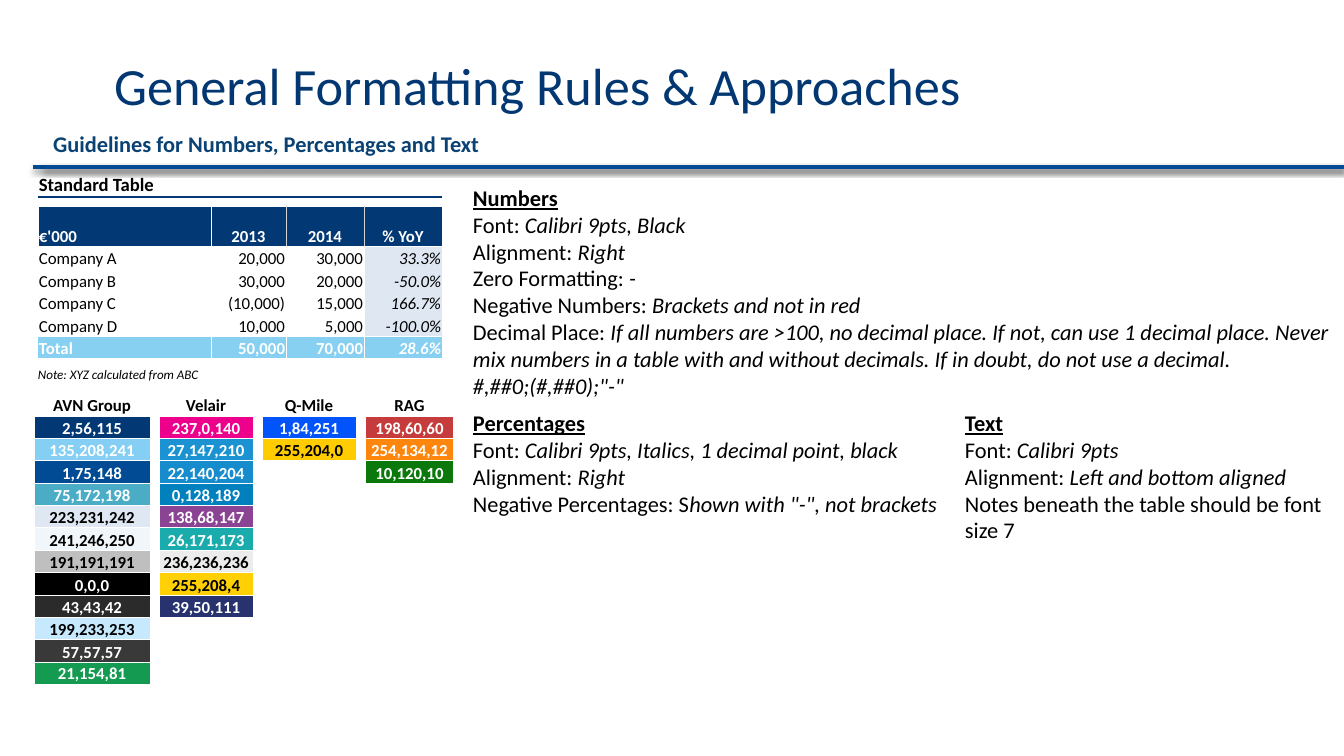
from lxml import etree
from pptx import Presentation
from pptx.dml.color import RGBColor
from pptx.enum.shapes import MSO_CONNECTOR
from pptx.enum.text import MSO_ANCHOR as ANCHOR, PP_ALIGN as ALIGN
from pptx.oxml import parse_xml
from pptx.oxml.ns import nsdecls, qn
from pptx.util import Emu, Pt

PX = 914400 / 134.4
FONT = "Calibri"
NO_STYLE = "{2D5ABB26-0587-4C30-8999-92F81FD0307C}"
COLOURS = {
    "navy": "023873", "title": "023772", "subtitle": "0A4274", "rule": "004B93",
    "sky": "87D0F1", "pale": "DFE7F2", "grey": "D2D3D4",
    "white": "FFFFFF", "black": "000000",
}

prs = Presentation()
prs.slide_width, prs.slide_height = Emu(round(1344 * PX)), Emu(round(756 * PX))
slide = prs.slides.add_slide(prs.slide_layouts[6])


def add_run(paragraph, text, size, colour, marks=""):
    """Add one run; marks holds any of b, i and u."""
    run = paragraph.add_run()
    run.text = text
    font = run.font
    font.name, font.size = FONT, Pt(size)
    font.color.rgb = RGBColor.from_string(COLOURS[colour])
    font.bold, font.italic, font.underline = (mark in marks for mark in "biu")


def format_cell(cell, text="", marks="", colour="black", align=ALIGN.LEFT,
                fill=None, borders=None, size=9):
    """Fill in one table cell; borders maps a side to (colour, points)."""
    cell.margin_left = cell.margin_right = cell.margin_top = Emu(round(PX))
    cell.margin_bottom = 0
    cell.vertical_anchor = ANCHOR.BOTTOM
    paragraph = cell.text_frame.paragraphs[0]
    paragraph.alignment = align
    if text:
        add_run(paragraph, text, size, colour, marks)
    else:
        etree.SubElement(paragraph._p, qn("a:endParaRPr"), sz="300")
    properties = cell._tc.get_or_add_tcPr()
    for side in "LRTB":
        if borders and side in borders:
            border_colour, points = borders[side]
            properties.append(parse_xml(
                f'<a:ln{side} {nsdecls("a")} w="{Pt(points)}"><a:solidFill>'
                f'<a:srgbClr val="{COLOURS[border_colour]}"/></a:solidFill></a:ln{side}>'))
    if fill:
        cell.fill.solid()
        cell.fill.fore_color.rgb = RGBColor.from_string(fill)
    else:
        cell.fill.background()


# Double rule under the headings
for rule_left in (33, 43):
    rule = slide.shapes.add_connector(
        MSO_CONNECTOR.STRAIGHT, *(Emu(round(v * PX)) for v in (rule_left, 167, 1344, 167)))
    rule.line.width = Pt(2)
    rule.line.color.rgb = RGBColor.from_string(COLOURS["rule"])
    rule._element.spPr.append(parse_xml(
        f'<a:effectLst {nsdecls("a")}><a:outerShdw blurRad="{Pt(3.1)}" dist="{Pt(1.6)}" '
        f'dir="5400000" rotWithShape="0"><a:srgbClr val="{COLOURS["black"]}">'
        '<a:alpha val="38000"/></a:srgbClr></a:outerShdw></a:effectLst>'))

# Headings, guidelines and note: box, inset, size, colour, paragraphs of (text, marks)
texts = [
    ((101, 42, 1142, 85), True, 28, "title",
     [[("General Formatting Rules & Approaches", "")]]),
    ((40, 124, 1304, 40), True, 12, "subtitle",
     [[("Guidelines for Numbers, Percentages and Text", "b")]]),
    ((473, 184, 862, 196), False, 12, "black", [
        [("Numbers", "bu")],
        [("Font: ", ""), ("Calibri 9pts, Black", "i")],
        [("Alignment:", ""), (" Right", "i")],
        [("Zero Formatting: ", ""), ("-", "i")],
        [("Negative Numbers: ", ""), ("Brackets and not in red", "i")],
        [("Decimal Place: ", ""),
         ("If all numbers are >100, no decimal place. If not, can use 1 decimal place. "
          "Never mix numbers in a table with and without decimals. "
          "If in doubt, do not use a decimal.", "i")],
        [('#,##0;(#,##0);"-"', "i")]]),
    ((473, 409, 480, 137), False, 12, "black", [
        [("Percentages", "bu")],
        [("Font: ", ""), ("Calibri 9pts, Italics, 1 decimal point, black", "i")],
        [("Alignment:", ""), (" Right", "i")],
        [("Negative Percentages: S", ""), ('hown with "-", not brackets', "i")]]),
    ((965, 409, 379, 137), False, 12, "black", [
        [("Text", "bu")],
        [("Font: ", ""), ("Calibri 9pts", "i")],
        [("Alignment:", ""), (" Left and bottom aligned", "i")],
        [("Notes beneath the table should be font size 7", "")]]),
    ((38, 366, 199, 14), False, 7, "black", [[("Note: XYZ calculated from ABC", "i")]]),
]
for box, inset, size, colour, paragraphs in texts:
    frame = slide.shapes.add_textbox(*(Emu(round(v * PX)) for v in box)).text_frame
    frame.word_wrap = True
    frame.vertical_anchor = ANCHOR.MIDDLE if colour == "title" else ANCHOR.TOP
    if not inset:
        frame.margin_left = frame.margin_right = frame.margin_top = frame.margin_bottom = 0
    for index, runs in enumerate(paragraphs):
        paragraph = frame.add_paragraph() if index else frame.paragraphs[0]
        for text, marks in runs:
            add_run(paragraph, text, size, colour, marks)

# Empty grids for the standard table and the palette
grids = []
for left, top, widths, heights in (
    (38, 167, [173, 75, 78, 78], [30, 9, 41, 22, 23, 22, 23, 22]),
    (34, 394, [116, 9, 94, 9, 94, 9, 89],
     [round(22.4 * (i + 1)) - round(22.4 * i) for i in range(13)]),
):
    area = (left, top, sum(widths), sum(heights))
    grid = slide.shapes.add_table(
        len(heights), len(widths), *(Emu(round(v * PX)) for v in area)).table
    grid.first_row = grid.horz_banding = False
    grid._tbl.tblPr.find(qn("a:tableStyleId")).text = NO_STYLE
    for column, width in zip(grid.columns, widths):
        column.width = Emu(round(width * PX))
    for row, height in zip(grid.rows, heights):
        row.height = Emu(round(height * PX))
    grids.append(grid)
standard, palette = grids

# Standard table
hairline = ("white", 0.5)
divider = ("grey", 0.5)
underline = ("navy", 1)
records = [
    ["€'000", "2013", "2014", "% YoY"],
    ["Company A", "20,000", "30,000", "33.3%"],
    ["Company B", "30,000", "20,000", "-50.0%"],
    ["Company C", "(10,000)", "15,000", "166.7%"],
    ["Company D", "10,000", "5,000", "-100.0%"],
    ["Total", "50,000", "70,000", "28.6%"],
]
for c in range(4):
    format_cell(standard.cell(0, c), "" if c else "Standard Table", "b", size=10,
                borders={"B": underline})
    format_cell(standard.cell(1, c), borders={"T": underline, "B": hairline})
for r, record in enumerate(records):
    header, total = r == 0, r == len(records) - 1
    for c, text in enumerate(record):
        borders = {"L" if c % 2 else "R": hairline}
        if header:
            borders = {"L": divider if c > 1 else hairline,
                       "R": divider if c in (1, 2) else hairline}
        if header or total:
            borders.update(T=hairline, B=hairline)
        marks = ("b" if header or total else "") + ("i" if c == 3 and not header else "")
        fill = ("navy" if header else "sky" if total else "pale" if c == 3 else "white")
        align = ALIGN.LEFT if c == 0 else ALIGN.CENTER if header else ALIGN.RIGHT
        format_cell(standard.cell(r + 2, c), text, marks,
                    "white" if header or total else "black", align, COLOURS[fill], borders)

# Palette: each swatch takes its fill from its RGB label, save for two shades
swatches = {
    "AVN Group": ["2,56,115", "135,208,241", "1,75,148", "75,172,198", "223,231,242",
                  "241,246,250", "191,191,191", "0,0,0", "43,43,42", "199,233,253",
                  "57,57,57", "21,154,81"],
    "Velair": ["237,0,140", "27,147,210", "22,140,204", "0,128,189", "138,68,147",
               "26,171,173", "236,236,236", "255,208,4", "39,50,111"],
    "Q-Mile": ["1,84,251", "255,204,0"],
    "RAG": ["198,60,60", "254,134,12", "10,120,10"],
}
shades = {"135,208,241": "85CFF4", "43,43,42": "2B2B2B"}
frame_lines = dict.fromkeys("LRTB", hairline)
names = list(swatches)
for c in range(7):
    labels = [] if c % 2 else swatches[names[c // 2]]
    format_cell(palette.cell(0, c), "" if c % 2 else names[c // 2], "b", align=ALIGN.CENTER)
    for r in range(1, 13):
        if r > len(labels):
            format_cell(palette.cell(r, c))
            continue
        label = labels[r - 1]
        red, green, blue = map(int, label.split(","))
        format_cell(palette.cell(r, c), label, "b",
                    "black" if min(red, green) > 190 else "white", ALIGN.CENTER,
                    shades.get(label, f"{red:02X}{green:02X}{blue:02X}"), frame_lines)

prs.save("out.pptx")
